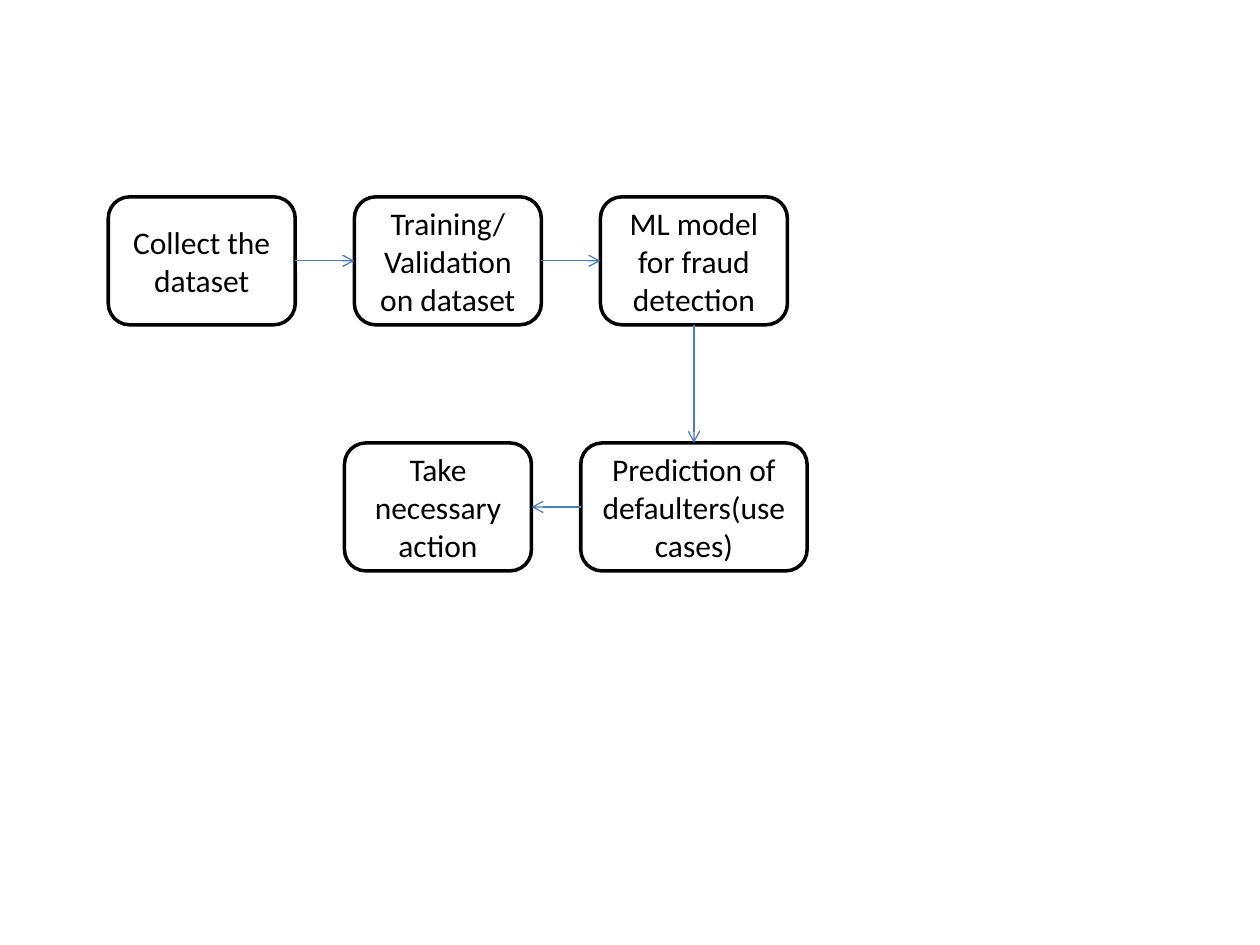
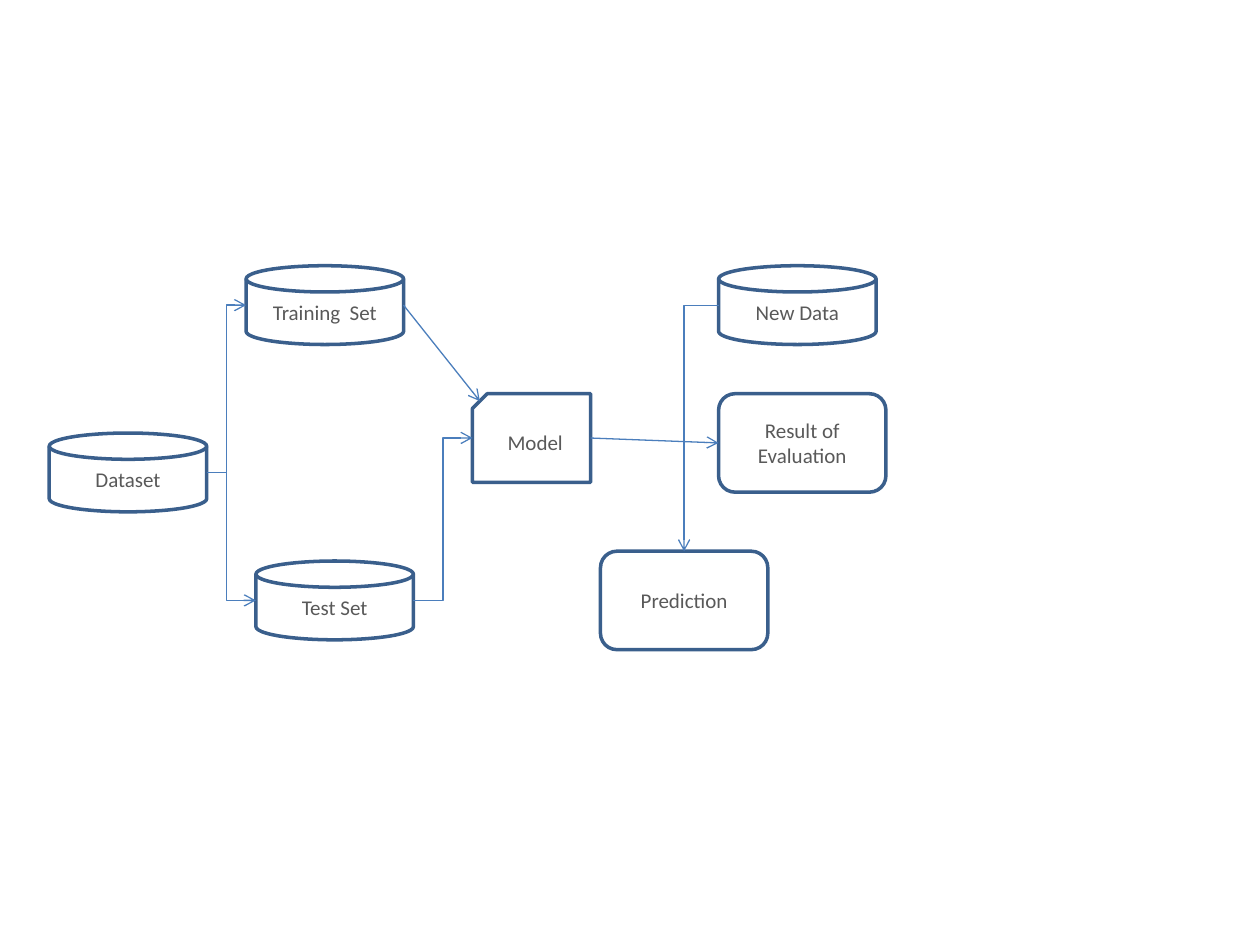
from dataclasses import dataclass

from lxml import etree
from pptx import Presentation
from pptx.dml.color import RGBColor
from pptx.enum.shapes import MSO_CONNECTOR as Link, MSO_SHAPE as Form
from pptx.enum.text import MSO_ANCHOR as Anchor, PP_ALIGN as Align
from pptx.oxml.ns import qn
from pptx.util import Pt


@dataclass(frozen=True)
class Theme:
    font: str = "Calibri"
    black: RGBColor = RGBColor(0x00, 0x00, 0x00)
    white: RGBColor = RGBColor(0xFF, 0xFF, 0xFF)
    grey: RGBColor = RGBColor(0x59, 0x59, 0x59)
    navy: RGBColor = RGBColor(0x3A, 0x5F, 0x8C)
    blue: RGBColor = RGBColor(0x4B, 0x7E, 0xBC)
    step_size: int = 18
    part_size: int = 12
    outline: float = 2
    arrow: float = 0.75


THEME = Theme()
UNIT = 45 / 8  # drawing grid, in points
TOP, LEFT, BOTTOM, RIGHT = range(4)  # connection sites of a rounded box


def grid(units):
    return Pt(units * UNIT)


# --- nodes ---
def add_node(slide, form, text, box, line, ink, size, fill=None):
    """Draw an outlined shape with a centred label; box is in grid units."""
    node = slide.shapes.add_shape(form, *map(grid, box))
    node.shadow.inherit = False
    if fill is None:
        node.fill.background()
    else:
        node.fill.solid()
        node.fill.fore_color.rgb = fill
    node.line.color.rgb = line
    node.line.width = Pt(THEME.outline)
    frame = node.text_frame
    frame.word_wrap = True
    frame.vertical_anchor = Anchor.MIDDLE
    label = frame.paragraphs[0]
    label.alignment = Align.CENTER
    run = label.add_run()
    run.text = text
    run.font.name = THEME.font
    run.font.size = Pt(size)
    run.font.color.rgb = ink
    return node


def add_step(slide, text, left, top, width=19):
    return add_node(slide, Form.ROUNDED_RECTANGLE, text, (left, top, width, 13),
                    THEME.black, THEME.black, THEME.step_size, THEME.white)


def add_part(slide, form, text, left, top, width, height):
    return add_node(slide, form, text, (left, top, width, height),
                    THEME.navy, THEME.grey, THEME.part_size)


def add_store(slide, text, left, top):
    return add_part(slide, Form.FLOWCHART_MAGNETIC_DISK, text, left, top, 16, 8)


def add_outcome(slide, text, left, top):
    return add_part(slide, Form.ROUNDED_RECTANGLE, text, left, top, 17, 10)


# --- arrows ---
def side(node, site):
    """Midpoint of one side of a node."""
    x = node.left + node.width // 2
    y = node.top + node.height // 2
    return {TOP: (x, node.top), LEFT: (node.left, y),
            BOTTOM: (x, node.top + node.height),
            RIGHT: (node.left + node.width, y)}[site]


def add_arrow(slide, start, end, link=Link.STRAIGHT, head_at="tailEnd"):
    arrow = slide.shapes.add_connector(link, *start, *end)
    arrow.line.color.rgb = THEME.blue
    arrow.line.width = Pt(THEME.arrow)
    outline = arrow.line._get_or_add_ln()
    etree.SubElement(outline, qn("a:" + head_at), type="arrow")
    etree.SubElement(arrow._element.spPr, qn("a:effectLst"))
    return arrow


def add_corner_arrow(slide, start, end, head_at="tailEnd"):
    """One bend: first sideways, then up or down."""
    arrow = add_arrow(slide, start, end, Link.ELBOW, head_at)
    arrow._element.spPr.find(qn("a:prstGeom")).set("prst", "bentConnector2")


def join_steps(slide, source, source_site, target, target_site):
    arrow = add_arrow(slide, side(source, source_site), side(target, target_site))
    arrow.begin_connect(source, source_site)
    arrow.end_connect(target, target_site)


# --- slides ---
def build_process(slide):
    upper, lower = 20, 45
    collect, training, model = [
        add_step(slide, text, 11 + 25 * column, upper)
        for column, text in enumerate(("Collect the dataset",
                                       "Training/Validation on dataset",
                                       "ML model for fraud detection"))]
    prediction = add_step(slide, "Prediction of defaulters(usecases)", 59, lower, 23)
    action = add_step(slide, "Take necessary action", 35, lower)

    join_steps(slide, collect, RIGHT, training, LEFT)
    join_steps(slide, training, RIGHT, model, LEFT)
    join_steps(slide, model, BOTTOM, prediction, TOP)
    join_steps(slide, prediction, LEFT, action, RIGHT)


def build_data_flow(slide):
    dataset = add_store(slide, "Dataset", 5, 44)
    test_set = add_store(slide, "Test Set", 26, 57)
    training_set = add_store(slide, "Training  Set", 25, 27)
    new_data = add_store(slide, "New Data", 73, 27)
    result = add_outcome(slide, "Result of Evaluation", 73, 40)
    prediction = add_outcome(slide, "Prediction", 61, 56)
    model = add_part(slide, Form.SNIP_1_RECTANGLE, "Model", 48, 40, 12, 9)
    model._element.spPr.find(qn("a:xfrm")).set("flipH", "1")

    # The dataset splits halfway to the training set
    split_start, training_entry = side(dataset, RIGHT), side(training_set, LEFT)
    split = ((split_start[0] + training_entry[0]) // 2, split_start[1])
    add_arrow(slide, split_start, training_entry, Link.ELBOW)
    add_corner_arrow(slide, side(test_set, LEFT), split, head_at="headEnd")

    # Both sets feed the model; training enters at the snipped corner
    snip_middle = model.height // 12
    add_arrow(slide, side(training_set, RIGHT),
              (model.left + snip_middle, model.top + snip_middle))
    add_arrow(slide, side(test_set, RIGHT), side(model, LEFT), Link.ELBOW)

    # Evaluation and prediction
    add_arrow(slide, side(model, RIGHT), side(result, LEFT))
    add_corner_arrow(slide, side(new_data, LEFT), side(prediction, TOP))


def main():
    deck = Presentation()
    deck.slide_width, deck.slide_height = Pt(720), Pt(540)
    blank = deck.slide_layouts[6]
    for build in (build_process, build_data_flow):
        build(deck.slides.add_slide(blank))
    deck.save("out.pptx")


main()
